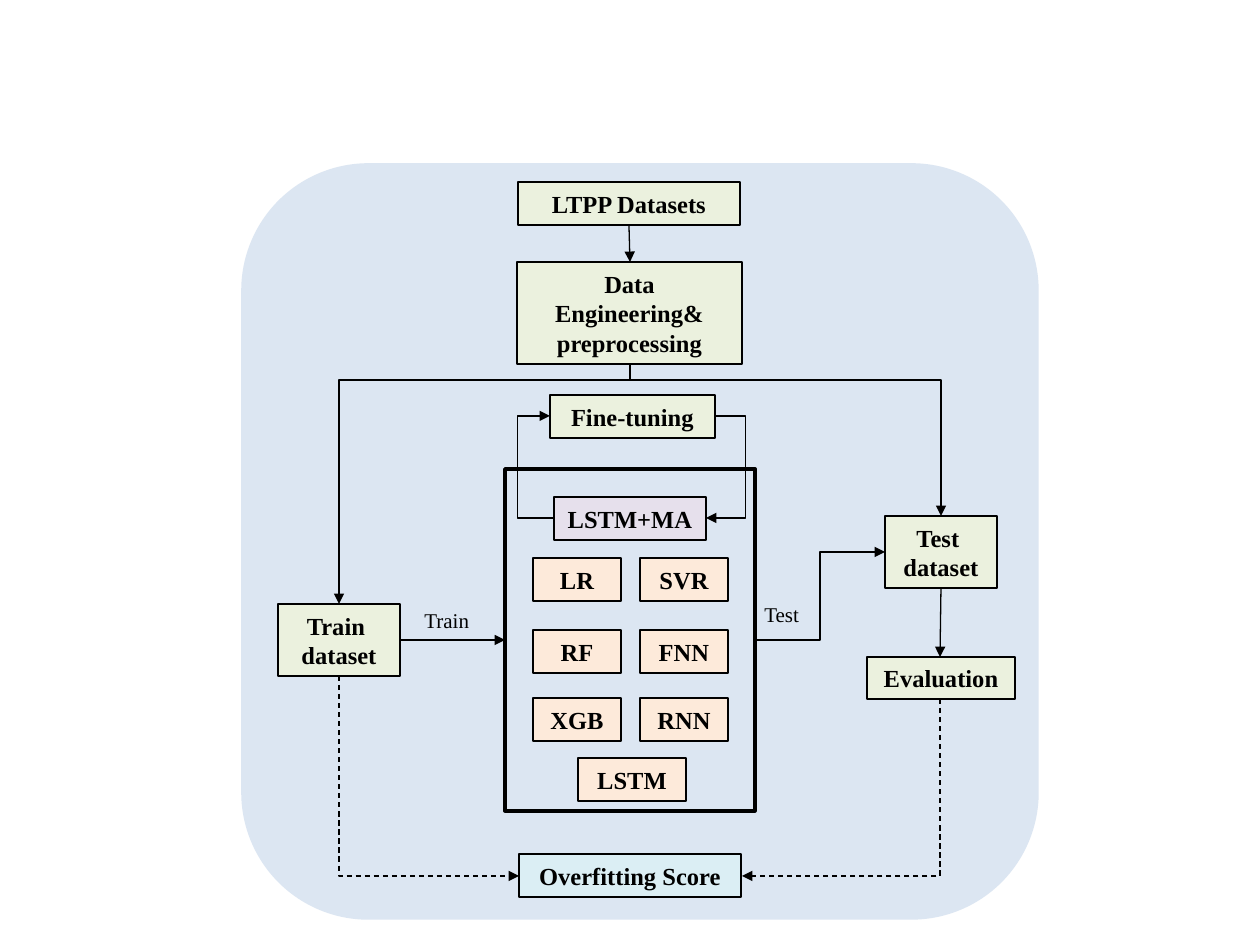
"""Build the pavement model training and evaluation flowchart slide."""
from dataclasses import dataclass

from lxml.etree import SubElement
from pptx import Presentation
from pptx.dml.color import RGBColor
from pptx.enum.dml import MSO_LINE
from pptx.enum.shapes import MSO_CONNECTOR, MSO_SHAPE
from pptx.enum.text import MSO_ANCHOR, MSO_AUTO_SIZE, PP_ALIGN
from pptx.oxml.ns import qn
from pptx.util import Inches, Pt


@dataclass(frozen=True)
class Theme:
    font: str = "Times New Roman"
    ink: str = "000000"
    panel: str = "DCE6F2"
    step: str = "EBF1DE"
    model: str = "FDEADA"
    main_model: str = "E6E0EC"
    score: str = "DBEEF4"
    box_size: int = 14
    label_size: int = 12
    thin: float = 0.75
    border: float = 1.5
    thick: float = 2


theme = Theme()
SCALE = Inches(1) / 126


def emu(*pixels):
    return [round(pixel * SCALE) for pixel in pixels]


def write(shape, text, size, bold, align, wrap):
    frame_format = {"word_wrap": wrap, "vertical_anchor": MSO_ANCHOR.MIDDLE,
                    "auto_size": MSO_AUTO_SIZE.SHAPE_TO_FIT_TEXT}
    font_format = {"name": theme.font, "size": Pt(size), "bold": bold}
    shape.text_frame.text = text
    for name, value in frame_format.items():
        setattr(shape.text_frame, name, value)
    for paragraph in shape.text_frame.paragraphs:
        paragraph.alignment = align
        font = paragraph.runs[0].font
        font.color.rgb = RGBColor.from_string(theme.ink)
        for name, value in font_format.items():
            setattr(font, name, value)


presentation = Presentation()
presentation.slide_width, presentation.slide_height = Inches(10), Inches(7.5)
slide = presentation.slides.add_slide(presentation.slide_layouts[6])

boxes = [
    ("Train \ndataset", theme.step, 278, 604, 122, 72),
    ("Evaluation", theme.step, 867, 657, 148, 42),
    ("LTPP Datasets", theme.step, 518, 182, 222, 43),
    ("Test \ndataset", theme.step, 885, 516, 112, 72),
    ("Data Engineering& preprocessing", theme.step, 517, 262, 225, 102),
    ("Fine-tuning", theme.step, 550, 395, 165, 43),
    ("LSTM+MA", theme.main_model, 554, 497, 152, 43),
    ("LSTM", theme.model, 578, 758, 108, 43),
    ("Overfitting Score", theme.score, 519, 854, 222, 43),
]
model_rows = [(558, "LR", "SVR"), (630, "RF", "FNN"), (698, "XGB", "RNN")]
for top, *models in model_rows:
    for left, model in zip((533, 640), models):
        boxes.append((model, theme.model, left, top, 88, 43))

panel = ("", theme.panel, 243, 165, 794, 753)
model_frame = ("", None, 505, 469, 250, 342)
for text, fill, *place in [panel, model_frame, *boxes]:
    is_panel = fill == theme.panel
    kind = MSO_SHAPE.ROUNDED_RECTANGLE if is_panel else MSO_SHAPE.RECTANGLE
    shape = slide.shapes.add_shape(kind, *emu(*place))
    shape.shadow.inherit = False
    if fill:
        shape.fill.solid()
        shape.fill.fore_color.rgb = RGBColor.from_string(fill)
    else:
        shape.fill.background()
    shape.line.color.rgb = RGBColor.from_string(theme.panel if is_panel else theme.ink)
    shape.line.width = Pt(theme.border if text else theme.thick)
    if text:
        write(shape, text, theme.box_size, True, PP_ALIGN.CENTER, True)

for text, *place in [("Train", 412, 601, 72, 38), ("Test", 752, 595, 62, 38)]:
    label = slide.shapes.add_textbox(*emu(*place))
    write(label, text, theme.label_size, False, PP_ALIGN.LEFT, False)

straight_arrows = [(629, 225, 630, 262), (941, 588, 940, 657), (400, 640, 505, 640)]
side_arrows = [
    ((554, 518, 550, 416), 518),
    ((715, 416, 706, 518), 746),
    ((755, 640, 885, 552), 820),
]
down_arrows = [
    ((630, 364, 339, 604), 380),
    ((630, 364, 941, 516), 380),
    ((940, 699, 742, 876), None),
    ((339, 676, 519, 876), None),
]
arrows = [("straight", ends, None) for ends in straight_arrows]
arrows += [("side", *arrow) for arrow in side_arrows]
arrows += [("down", *arrow) for arrow in down_arrows]

for start, ends, bend in arrows:
    x1, y1, x2, y2 = ends
    if start == "down":
        middle_x, middle_y = (x1 + x2) / 2, (y1 + y2) / 2
        half_width, half_height = (x2 - x1) / 2, (y2 - y1) / 2
        ends = (middle_x - half_height, middle_y + half_width,
                middle_x + half_height, middle_y - half_width)
    kind = MSO_CONNECTOR.STRAIGHT if start == "straight" else MSO_CONNECTOR.ELBOW
    connector = slide.shapes.add_connector(kind, *emu(*ends))
    connector.line.color.rgb = RGBColor.from_string(theme.ink)
    connector.line.width = Pt(theme.thin)
    properties = connector._element.spPr
    geometry = properties.find(qn("a:prstGeom"))
    if start == "down":
        properties.find(qn("a:xfrm")).set("rot", "5400000")
    if bend:
        first, last = (y1, y2) if start == "down" else (x1, x2)
        share = round((bend - first) / (last - first) * 100000)
        guides = geometry.find(qn("a:avLst"))
        SubElement(guides, qn("a:gd"), name="adj1", fmla=f"val {share}")
    elif start == "down":
        geometry.set("prst", "bentConnector2")
        connector.line.dash_style = MSO_LINE.DASH
    SubElement(properties.find(qn("a:ln")), qn("a:tailEnd"), type="triangle")
    SubElement(properties, qn("a:effectLst"))

presentation.save("out.pptx")
